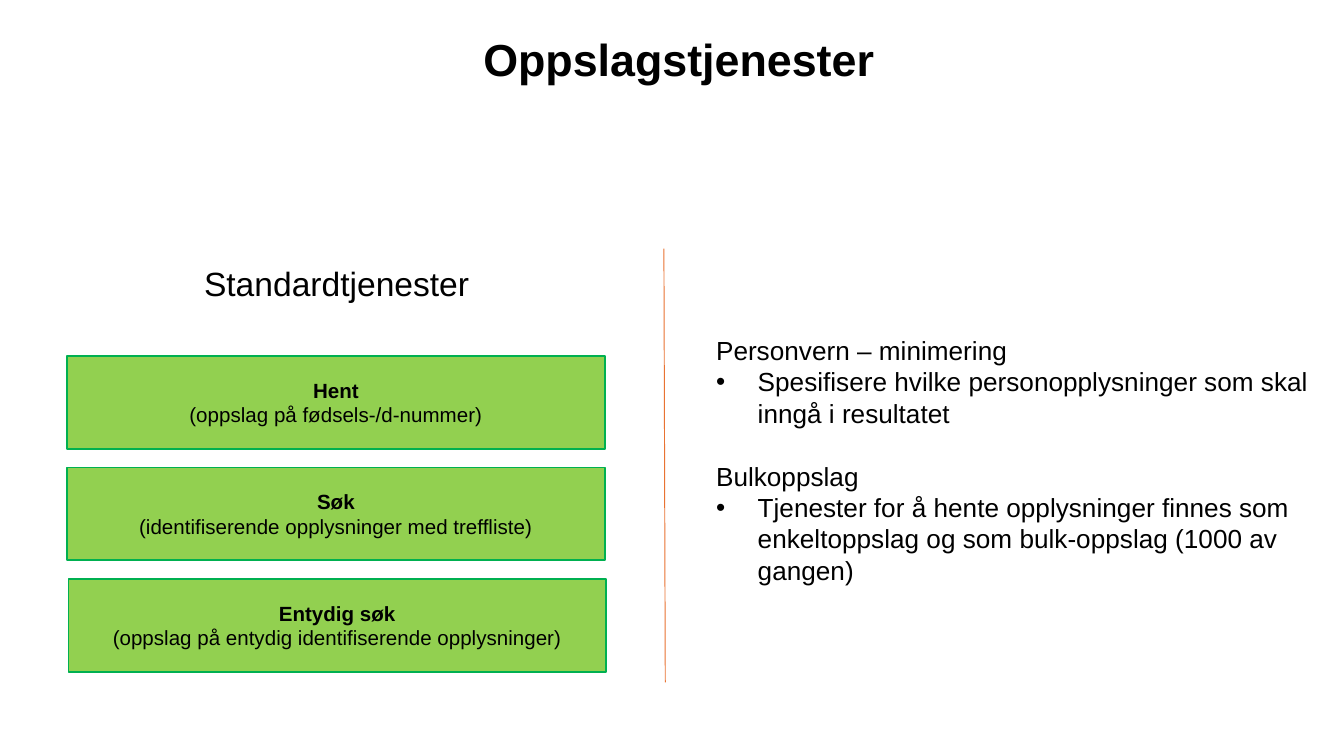
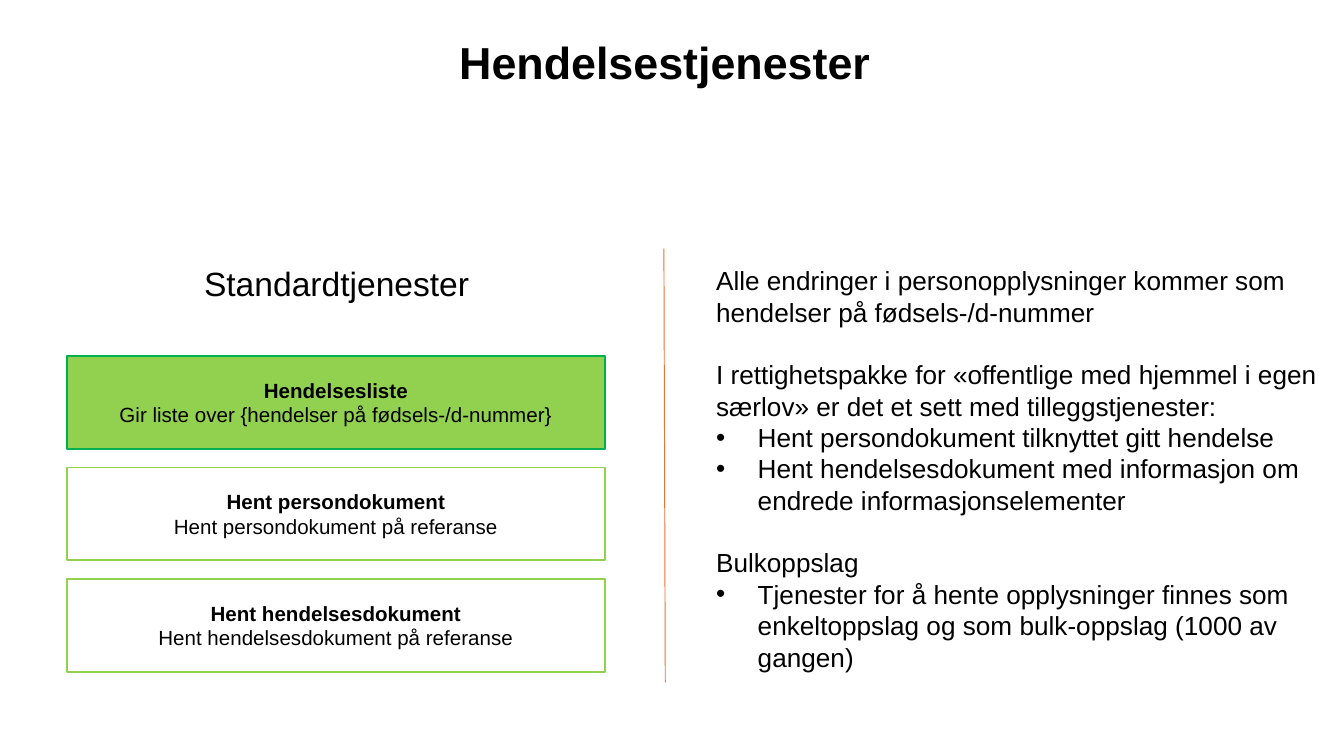
import pptx
import pptx.util
import pptx.dml.color
import pptx.enum.shapes
import pptx.enum.text
import pptx.oxml
import pptx.oxml.ns
from lxml import etree

# Shared style
GRID = 0.1  # inches per column and per row
BLACK, GREEN, LIME, ORANGE = "000000", "00B050", "92D050", "E97332"
FORMATS = {
    "title": {"name": "Arial", "size": pptx.util.Pt(24), "bold": True},
    "subtitle": {"name": "Arial", "size": pptx.util.Pt(18), "bold": False},
    "service": {"name": "Arial", "size": pptx.util.Pt(11), "bold": True},
    "detail": {"name": "Arial", "size": pptx.util.Pt(11), "bold": False},
    "notes": {"name": "Arial", "size": pptx.util.Pt(14), "bold": False},
}
SUBTITLE_BOX = (3.5, 19.9, 43.1, 5.2)
SERVICE_BOX = (5, 26.5, 40, 6.9)
SERVICE_STEP = 8.3
DIVIDER = (49.4, 18.5, 49.5, 50.8)
NOTES_LEFT, NOTES_WIDTH = 52.3, 47.7
SECTION_GAP = 16.8  # points, one line of notes
BULLET_INDENT = pptx.util.Inches(0.31)


def colour(hex_code):
    return pptx.dml.color.RGBColor.from_string(hex_code)


def grid(*steps):
    return [pptx.util.Inches(step * GRID) for step in steps]


def append_element(parent, tag, **attributes):
    element = etree.SubElement(parent, pptx.oxml.ns.qn(tag))
    for name, value in attributes.items():
        element.set(name, value)


class Deck:
    def __init__(self):
        self.presentation = pptx.Presentation()
        self.presentation.slide_width, self.presentation.slide_height = grid(100, 55.9)
        self.slide = None

    def add_slide(self):
        layout = self.presentation.slide_layouts[1]
        self.slide = self.presentation.slides.add_slide(layout)

    def add_text(self, paragraph, text, style):
        run = paragraph.add_run()
        run.text = text
        for name, value in FORMATS[style].items():
            setattr(run.font, name, value)
        run.font.color.rgb = colour(BLACK)

    def placeholder(self, index, box, text, style):
        shape = self.slide.placeholders[index]
        shape.left, shape.top, shape.width, shape.height = grid(*box)
        frame = shape.text_frame
        settings = {
            "margin_left": 0, "margin_top": 0, "margin_right": 0, "margin_bottom": 0,
            "vertical_anchor": pptx.enum.text.MSO_ANCHOR.TOP,
            "auto_size": pptx.enum.text.MSO_AUTO_SIZE.NONE,
            "word_wrap": True,
        }
        for name, value in settings.items():
            setattr(frame, name, value)
        paragraph = frame.paragraphs[0]
        paragraph.alignment = pptx.enum.text.PP_ALIGN.CENTER
        paragraph.line_spacing = 0.9
        paragraph.space_before = pptx.util.Pt(0)
        properties = paragraph._p.get_or_add_pPr()
        properties.set("marL", "0")
        properties.set("indent", "0")
        append_element(properties, "a:buNone")
        self.add_text(paragraph, text, style)

    def service(self, row, name, detail, filled, shift=0):
        left, top, width, height = SERVICE_BOX
        shape = self.slide.shapes.add_shape(
            pptx.enum.shapes.MSO_SHAPE.RECTANGLE,
            *grid(left + shift, top + row * SERVICE_STEP, width, height))
        shape.shadow.inherit = False
        if filled:
            shape.fill.solid()
            shape.fill.fore_color.rgb = colour(LIME)
        else:
            shape.fill.background()
        shape.line.color.rgb = colour(GREEN if filled else LIME)
        shape.line.width = pptx.util.Pt(1)
        frame = shape.text_frame
        frame.word_wrap = True
        frame.vertical_anchor = pptx.enum.text.MSO_ANCHOR.MIDDLE
        lines = ((frame.paragraphs[0], name, "service"),
                 (frame.add_paragraph(), detail, "detail"))
        for paragraph, text, style in lines:
            paragraph.alignment = pptx.enum.text.PP_ALIGN.CENTER
            self.add_text(paragraph, text, style)

    def divider(self):
        line = self.slide.shapes.add_connector(
            pptx.enum.shapes.MSO_CONNECTOR.STRAIGHT, *grid(*DIVIDER))
        line.line.color.rgb = colour(ORANGE)
        line.line.width = pptx.util.Pt(0.5)
        append_element(line._element.spPr, "a:effectLst")

    def notes(self, top, height, sections):
        """Each section is a lead line followed by its bullets."""
        shape = self.slide.shapes.add_textbox(*grid(NOTES_LEFT, top, NOTES_WIDTH, height))
        frame = shape.text_frame
        frame.word_wrap = True
        frame.auto_size = pptx.enum.text.MSO_AUTO_SIZE.SHAPE_TO_FIT_TEXT
        for number, (lead, *bullets) in enumerate(sections):
            paragraph = frame.add_paragraph() if number else frame.paragraphs[0]
            if number:
                paragraph.space_before = pptx.util.Pt(SECTION_GAP)
            self.add_text(paragraph, lead, "notes")
            for bullet in bullets:
                paragraph = frame.add_paragraph()
                properties = paragraph._p.get_or_add_pPr()
                properties.set("marL", str(BULLET_INDENT))
                properties.set("indent", str(-BULLET_INDENT))
                append_element(properties, "a:buFont", typeface="Arial")
                append_element(properties, "a:buChar", char="•")
                self.add_text(paragraph, bullet, "notes")

    def service_slide(self, title, title_box, services, notes):
        self.add_slide()
        self.placeholder(0, title_box, title, "title")
        self.placeholder(1, SUBTITLE_BOX, "Standardtjenester", "subtitle")
        for row, service in enumerate(services):
            self.service(row, *service)
        self.notes(*notes)
        self.divider()


def main():
    deck = Deck()
    bulk_section = (
        "Bulkoppslag",
        "Tjenester for å hente opplysninger finnes som enkeltoppslag "
        "og som bulk-oppslag (1000 av gangen)",
    )

    # Lookup services
    deck.service_slide(
        "Oppslagstjenester", (3.5, 2.8, 94, 10.8),
        [("Hent", "(oppslag på fødsels-/d-nummer)", True),
         ("Søk", "(identifiserende opplysninger med treffliste)", True),
         ("Entydig søk", "(oppslag på entydig identifiserende opplysninger)", True, 0.1)],
        (24.4, 22.2, [
            ("Personvern – minimering",
             "Spesifisere hvilke personopplysninger som skal inngå i resultatet"),
            bulk_section]))

    # Event services
    deck.service_slide(
        "Hendelsestjenester", (2.9, 3, 93.1, 10.8),
        [("Hendelsesliste", "Gir liste over {hendelser på fødsels-/d-nummer}", True),
         ("Hent persondokument", "Hent persondokument på referanse", False),
         ("Hent hendelsesdokument", "Hent hendelsesdokument på referanse", False)],
        (19.2, 31.6, [
            ("Alle endringer i personopplysninger kommer som hendelser på fødsels-/d-nummer",),
            ("I rettighetspakke for «offentlige med hjemmel i egen særlov» "
             "er det et sett med tilleggstjenester:",
             "Hent persondokument tilknyttet gitt hendelse",
             "Hent hendelsesdokument med informasjon om endrede informasjonselementer"),
            bulk_section]))

    deck.presentation.save("out.pptx")


if __name__ == "__main__":
    main()
